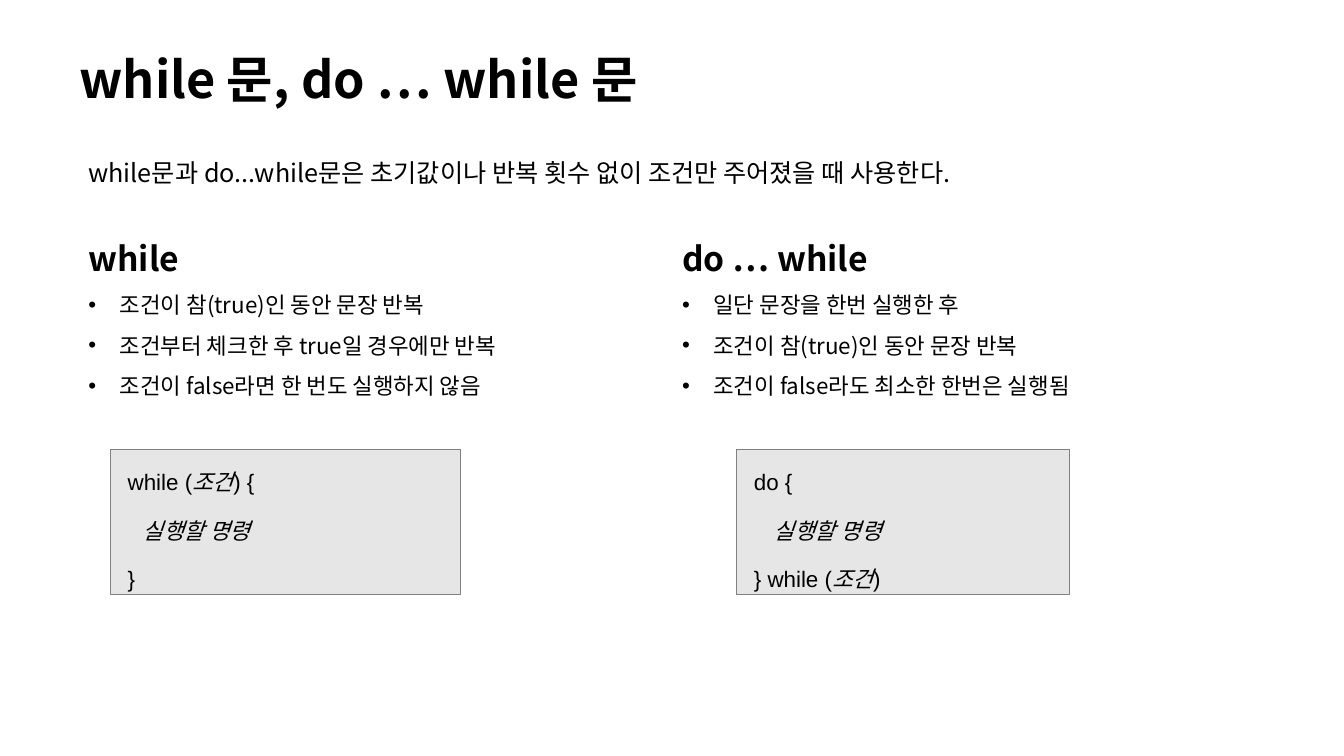
from lxml.etree import SubElement
from pptx import Presentation
from pptx.dml.color import RGBColor
from pptx.enum.shapes import MSO_SHAPE
from pptx.enum.text import MSO_ANCHOR, PP_ALIGN
from pptx.oxml.ns import qn
from pptx.util import Cm, Pt

COLORS = {"text": "000000", "code_fill": "E7E6E6", "code_line": "808080"}
KOREAN = "Noto Sans CJK KR"
TITLE = {"size": Pt(36), "bold": True, "name": KOREAN}
INTRO = {"size": Pt(18), "bold": False, "name": KOREAN}
HEADING = {"size": Pt(24), "bold": True, "name": KOREAN}
BULLET = {"size": Pt(16), "bold": False, "name": KOREAN}
CODE = {"size": Pt(16), "bold": False, "name": "Arial"}
JUSTIFIED = {"alignment": PP_ALIGN.JUSTIFY}
SPACED = {"alignment": PP_ALIGN.JUSTIFY, "line_spacing": 1.5}
CODE_LINE = {"alignment": PP_ALIGN.LEFT, "line_spacing": 1.5, "space_after": Pt(3)}

LOOPS = [
    {
        "heading": "while",
        "points": ["조건이 참(true)인 동안 문장 반복",
                   "조건부터 체크한 후 true일 경우에만 반복",
                   "조건이 false라면 한 번도 실행하지 않음"],
        "code": [[("while (", False), ("조건", True), (") {", False)],
                 [("   ", False), ("실행할 명령", True)],
                 [("}", False)]],
        "left": 1.98, "code_left": 2.79, "code_width": 8.81,
    },
    {
        "heading": "do … while",
        "points": ["일단 문장을 한번 실행한 후",
                   "조건이 참(true)인 동안 문장 반복",
                   "조건이 false라도 최소한 한번은 실행됨"],
        "code": [[("do {", False)],
                 [("    ", False), ("실행할 명령", True)],
                 [("} while (", False), ("조건", True), (")", False)]],
        "left": 16.94, "code_left": 18.57, "code_width": 8.38,
    },
]


def apply(target, values):
    """Set every attribute named in a dict of format values."""
    for name, value in values.items():
        setattr(target, name, value)


def next_paragraph(frame, values):
    """Return the unused first paragraph or a new one, formatted."""
    first = frame.paragraphs[0]
    para = frame.add_paragraph() if first.runs else first
    apply(para, values)
    return para


def add_span(para, text, font, italic=False):
    """Add a run with Latin and East Asian fonts."""
    span = para.add_run()
    span.text = text
    apply(span.font, {**font, "italic": italic})
    span.font.color.rgb = RGBColor.from_string(COLORS["text"])
    SubElement(span.font._element, qn("a:ea"), typeface=KOREAN)


def indent(para, left, hanging):
    """Set the left margin and the hanging indent of a paragraph."""
    properties = para._p.get_or_add_pPr()
    properties.set("marL", str(Cm(left)))
    properties.set("indent", str(-Cm(hanging)))
    return properties


def add_text_box(page, left, top, width, height):
    """Add a wrapping text box and return its frame."""
    frame = page.shapes.add_textbox(Cm(left), Cm(top), Cm(width), Cm(height)).text_frame
    frame.word_wrap = True
    return frame


def add_title(page, left, top, width, height):
    """Place the slide title, centred vertically."""
    frame = add_text_box(page, left, top, width, height)
    frame.vertical_anchor = MSO_ANCHOR.MIDDLE
    para = next_paragraph(frame, {"line_spacing": 0.9})
    add_span(para, "while 문, do … while 문", TITLE)


def add_intro(page, left, top, width, height):
    """Place the introductory sentence."""
    para = next_paragraph(add_text_box(page, left, top, width, height), JUSTIFIED)
    add_span(para, "while문과 do...while문은 초기값이나 반복 횟수 없이 조건만 주어졌을 때 사용한다.", INTRO)


def add_description(page, loop, left, top, width, height):
    """Place the heading and bullets of one loop."""
    frame = add_text_box(page, left, top, width, height)
    add_span(next_paragraph(frame, SPACED), loop["heading"], HEADING)
    for point in loop["points"]:
        para = next_paragraph(frame, SPACED)
        properties = indent(para, 0.79, 0.79)
        SubElement(properties, qn("a:buFont"), typeface="Arial")
        SubElement(properties, qn("a:buChar"), char="•")
        add_span(para, point, BULLET)


def add_code(page, lines, left, top, width, height):
    """Place a grey box with the syntax of one loop."""
    box = page.shapes.add_shape(MSO_SHAPE.RECTANGLE, Cm(left), Cm(top), Cm(width), Cm(height))
    box.shadow.inherit = False
    box.fill.solid()
    box.fill.fore_color.rgb = RGBColor.from_string(COLORS["code_fill"])
    box.line.color.rgb = RGBColor.from_string(COLORS["code_line"])
    box.line.width = Pt(0.75)
    apply(box.text_frame, {"word_wrap": True, "vertical_anchor": MSO_ANCHOR.TOP})
    for number, line in enumerate(lines):
        para = next_paragraph(box.text_frame, {**CODE_LINE, "space_before": Pt(3 if number else 0)})
        indent(para, 0.18, 0)
        for text, italic in line:
            add_span(para, text, CODE, italic)


def main():
    """Build and save the deck."""
    deck = Presentation()
    apply(deck, {"slide_width": Cm(33.87), "slide_height": Cm(19.05)})
    page = deck.slides.add_slide(deck.slide_layouts[6])
    add_title(page, 1.75, 0.89, 24.74, 2.34)
    add_intro(page, 1.98, 3.84, 26.21, 1.02)
    for loop in LOOPS:
        add_description(page, loop, loop["left"], 5.36, 14.25, 4.85)
        add_code(page, loop["code"], loop["code_left"], 11.33, loop["code_width"], 3.66)
    deck.save("out.pptx")


if __name__ == "__main__":
    main()
